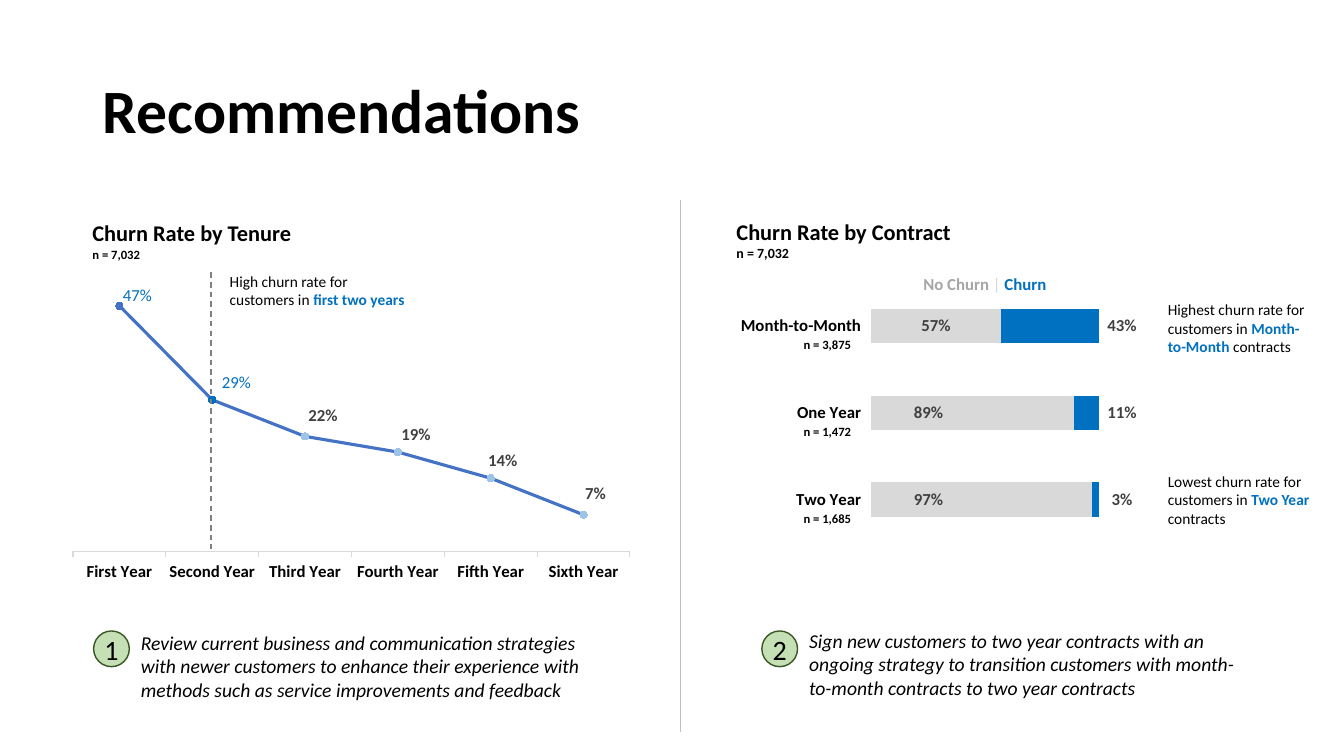
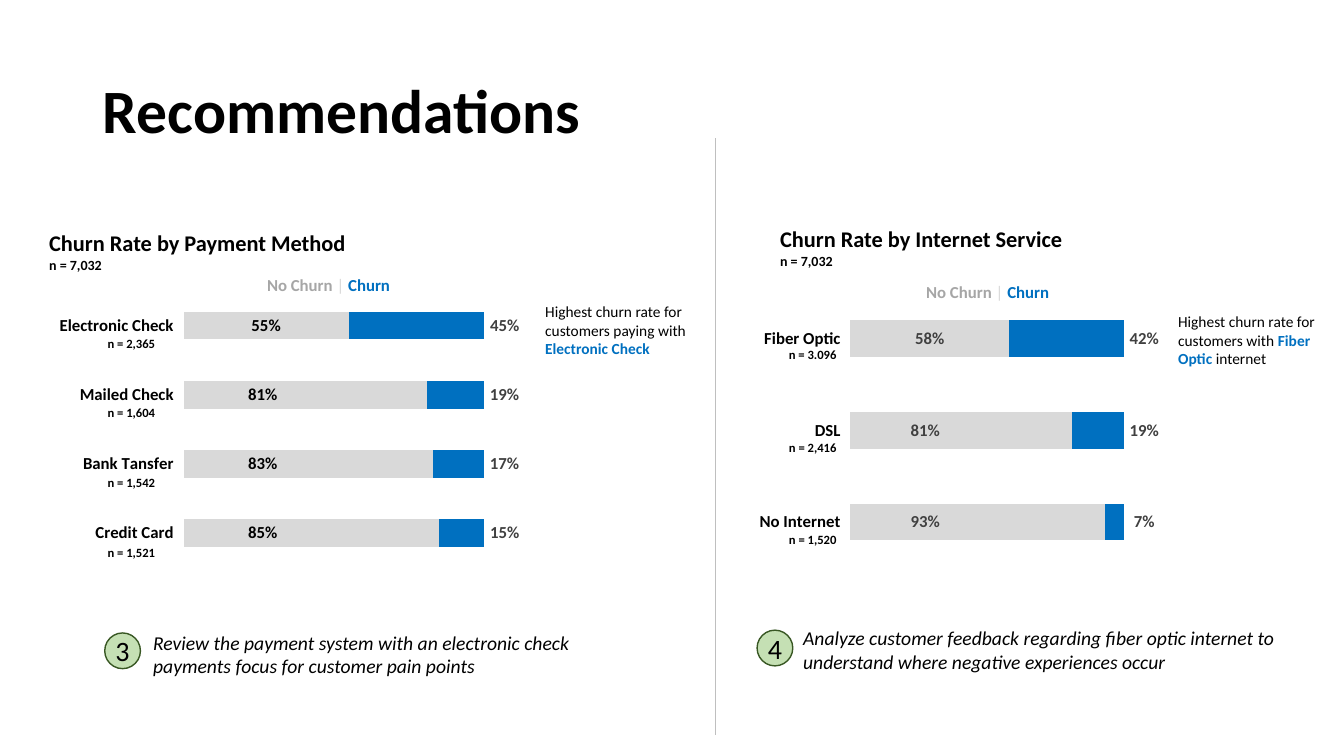
"""Build two recommendation slides on customer churn."""
import lxml.etree
import pptx
import pptx.chart.data
import pptx.dml.color
import pptx.enum.chart
import pptx.enum.dml
import pptx.enum.shapes
import pptx.enum.text
import pptx.oxml
import pptx.oxml.ns
import pptx.util

Cm = pptx.util.Cm
FONT = "Calibri"
BLACK, BLUE, PALE_BLUE, LINE_BLUE = "000000", "0070C0", "9DC3E6", "4472C4"
DARK_GREY, GREY, RULE_GREY, LIGHT_GREY = "404040", "A6A6A6", "BFBFBF", "D9D9D9"
GREEN, DARK_GREEN, DASH_GREY = "C5E0B4", "385723", "808080"

STYLES = {
    "title": {"size": 44, "bold": True},
    "heading": {"size": 16, "bold": True},
    "total": {"size": 10, "bold": True},
    "count": {"size": 9, "bold": True},
    "note": {"size": 11, "bold": False},
    "key": {"size": 11, "bold": True, "color": BLUE},
    "advice": {"size": 14, "italic": True},
    "badge": {"size": 20},
    "stay": {"size": 12, "bold": True, "color": GREY},
    "bar": {"size": 12, "bold": False, "color": LIGHT_GREY},
    "churn": {"size": 12, "bold": True, "color": BLUE},
    "axis": {"size": 12, "bold": True},
    "value": {"size": 12, "bold": True, "color": DARK_GREY},
    "dark_value": {"size": 12, "bold": True},
    "early_value": {"size": 12, "bold": False, "color": BLUE},
}
LEGEND = [("No Churn ", "stay"), ("| ", "bar"), ("Churn", "churn")]

TENURE = {
    "heading": ("Churn Rate by Tenure", (2.08, 5.41, 6.15, 1.37)),
    "total_style": "count",
    "chart": (1.4, 6.17, 15.16, 8.86),
    "plot": (0.029, 0.129, 0.926, 0.743),
    "years": [
        ("First Year", 0.47, LINE_BLUE, "early_value", (0.03, 0.02)),
        ("Second Year", 0.29, BLUE, "early_value", (0.04, 0)),
        ("Third Year", 0.22, PALE_BLUE, "value", (0.03, -0.01)),
        ("Fourth Year", 0.19, PALE_BLUE, "value", (0.03, 0)),
        ("Fifth Year", 0.14, PALE_BLUE, "value", (0.02, 0)),
        ("Sixth Year", 0.07, PALE_BLUE, "value", (0.02, -0.01)),
    ],
    "cutoff": (5.32, 6.86, 5.32, 13.84),
    "notes": [((5.54, 6.73, 4.98, 1.19),
               [("High churn rate for customers in ", "note"), ("first two years", "key")])],
    "badge": ("1", 2.36, 15.9),
    "advice": ("Review current business and communication strategies with newer customers to enhance "
               "their experience with methods such as service improvements and feedback",
               (3.3, 15.77, 12.32, 2.06)),
}
CONTRACT = {
    "heading": ("Churn Rate by Contract", (18.31, 5.36, 7.44, 1.37)),
    "chart": (17.7, 6.32, 11.81, 8.03),
    "plot": (0.36, 0.1, 0.486, 0.818),
    "bars": [("Month-to-Month", 0.57, 0.43, "n = 3,875"),
             ("One Year", 0.89, 0.11, "n = 1,472"),
             ("Two Year", 0.97, 0.03, "n = 1,685")],
    "label_x": (23.4, 28.28),
    "stay_style": "value",
    "counts": (20, 8.36, 2.2),
    "legend": (23.02, 6.78),
    "notes": [((29.18, 7.44, 4.24, 1.68),
               [("Highest churn rate for customers in ", "note"), ("Month-to-Month ", "key"),
                ("contracts", "note")]),
              ((29.18, 11.76, 4.24, 1.68),
               [("Lowest churn rate for customers in ", "note"), ("Two Year ", "key"),
                ("contracts", "note")])],
    "badge": ("2", 19.2, 15.9),
    "advice": ("Sign new customers to two year contracts with an ongoing strategy to transition "
               "customers with month-to-month contracts to two year contracts",
               (20.14, 15.72, 11.73, 2.06)),
}
PAYMENT = {
    "heading": ("Churn Rate by Payment Method", (0.99, 5.66, 9.32, 1.37)),
    "chart": (0.36, 6.96, 13.34, 7.72),
    "plot": (0.32, 0.048, 0.567, 0.904),
    "bars": [("Electronic Check", 0.55, 0.45, "n = 2,365"),
             ("Mailed Check", 0.81, 0.19, "n = 1,604"),
             ("Bank Tansfer", 0.83, 0.17, "n = 1,542"),
             ("Credit Card", 0.85, 0.15, "n = 1,521")],
    "label_x": (6.62, 12.72),
    "stay_style": "dark_value",
    "counts": (2.46, 8.33, 1.76),
    "legend": (6.48, 6.81),
    "notes": [((13.49, 7.49, 4.24, 1.68),
               [("Highest churn rate for customers paying with ", "note"),
                ("Electronic Check", "key")])],
    "badge": ("3", 2.64, 15.95),
    "advice": ("Review the payment system with an electronic check payments focus for customer "
               "pain points", (3.61, 15.77, 12.47, 1.45)),
}
INTERNET = {
    "heading": ("Churn Rate by Internet Service", (19.41, 5.56, 9.32, 1.37)),
    "chart": (18.64, 7.01, 10.95, 7.67),
    "plot": (0.255, 0.048, 0.629, 0.904),
    "bars": [("Fiber Optic", 0.58, 0.42, "n = 3.096"),
             ("DSL", 0.81, 0.19, "n = 2,416"),
             ("No Internet", 0.93, 0.07, "n = 1,520")],
    "label_x": (23.32, 28.84),
    "stay_style": "value",
    "counts": (19.63, 8.61, 2.34),
    "legend": (23.09, 6.98),
    "notes": [((29.44, 7.75, 4.24, 1.68),
               [("Highest churn rate for customers with ", "note"), ("Fiber Optic ", "key"),
                ("internet", "note")])],
    "badge": ("4", 19.08, 15.88),
    "advice": ("Analyze customer feedback regarding fiber optic internet to understand where "
               "negative experiences occur", (19.99, 15.65, 12.9, 1.45)),
}
SLIDES = [
    ("Recommendations", (17.14, 5.03, 17.14, 18.44), (TENURE, CONTRACT)),
    ("Recommendations", (18.03, 3.48, 18.03, 18.52), (PAYMENT, INTERNET)),
]


def rgb(value):
    return pptx.dml.color.RGBColor.from_string(value)


def assign(target, **values):
    for name, value in values.items():
        setattr(target, name, value)


def style_font(font, style):
    values = {"name": FONT, **STYLES[style]}
    color = values.pop("color", BLACK)
    values["size"] = pptx.util.Pt(values["size"])
    assign(font, **values)
    font.color.rgb = rgb(color)


def style_line(line, color, width):
    line.color.rgb = rgb(color)
    line.width = pptx.util.Pt(width)


def style_fill(fill, color):
    fill.solid()
    fill.fore_color.rgb = rgb(color)


def write(frame, paragraphs, align=pptx.enum.text.PP_ALIGN.LEFT):
    for index, runs in enumerate(paragraphs):
        paragraph = frame.add_paragraph() if index else frame.paragraphs[0]
        paragraph.alignment = align
        for text, style in runs:
            run = paragraph.add_run()
            run.text = text
            style_font(run.font, style)


def add_text(slide, box, paragraphs, align=pptx.enum.text.PP_ALIGN.LEFT):
    frame = slide.shapes.add_textbox(*map(Cm, box)).text_frame
    assign(frame, word_wrap=True, auto_size=pptx.enum.text.MSO_AUTO_SIZE.SHAPE_TO_FIT_TEXT)
    write(frame, paragraphs, align)


def add_rule(slide, ends, color, width, dash=None):
    rule = slide.shapes.add_connector(pptx.enum.shapes.MSO_CONNECTOR.STRAIGHT, *map(Cm, ends))
    style_line(rule.line, color, width)
    rule.line.dash_style = dash
    lxml.etree.SubElement(rule._element.spPr, pptx.oxml.ns.qn("a:effectLst"))


def layout_xml(**values):
    items = "".join(f'<c:{name} val="{value}"/>' for name, value in values.items())
    return pptx.oxml.parse_xml(
        f'<c:layout {pptx.oxml.ns.nsdecls("c")}><c:manualLayout>{items}</c:manualLayout></c:layout>')


def add_chart(slide, panel, kind, categories, series, maximum):
    data = pptx.chart.data.CategoryChartData(number_format="0%")
    data.categories = categories
    for name, values in series:
        data.add_series(name, values)
    chart = slide.shapes.add_chart(kind, *map(Cm, panel["chart"]), data).chart
    assign(chart, has_legend=False, has_title=False)
    assign(chart.font, name=FONT, size=pptx.util.Pt(10))
    assign(chart.value_axis, visible=False, has_major_gridlines=False,
           minimum_scale=0, maximum_scale=maximum)
    chart.plots[0].vary_by_categories = False
    chart.category_axis.major_tick_mark = pptx.enum.chart.XL_TICK_MARK.OUTSIDE
    style_font(chart.category_axis.tick_labels.font, "axis")
    area = chart._chartSpace.xpath("c:chart/c:plotArea")[0]
    for old in area.xpath("c:layout"):
        area.remove(old)
    x, y, w, h = panel["plot"]
    area.insert(0, layout_xml(layoutTarget="inner", xMode="edge", yMode="edge", x=x, y=y, w=w, h=h))
    return chart


def label_series(series, style, position):
    labels = series.data_labels
    assign(labels, show_value=True, number_format="0%", number_format_is_linked=False,
           position=position)
    style_font(labels.font, style)
    for leader in series._element.xpath("c:dLbls/c:showLeaderLines"):
        leader.set("val", "0")


def move_label(series, index, style, position, x, y=0):
    label = series.points[index].data_label
    style_font(label.font, style)
    label.position = position
    element = series._element.xpath(f"c:dLbls/c:dLbl[c:idx/@val={index}]")[0]
    element.insert(1, layout_xml(x=round(x, 4), y=y))


def add_line_chart(slide, panel):
    names, rates, colors, styles, shifts = zip(*panel["years"])
    chart = add_chart(slide, panel, pptx.enum.chart.XL_CHART_TYPE.LINE_MARKERS_STACKED,
                      names, [("Series 1", rates)], 0.5)
    style_line(chart.category_axis.format.line, LIGHT_GREY, 0.75)
    rate = chart.plots[0].series[0]
    rate.smooth = False
    above = pptx.enum.chart.XL_LABEL_POSITION.ABOVE
    label_series(rate, "value", above)
    dots = [(rate, LINE_BLUE)]
    for index, (color, style, shift) in enumerate(zip(colors, styles, shifts)):
        dots.append((rate.points[index], color))
        move_label(rate, index, style, above, *shift)
    for dot, color in dots:
        style_line(dot.format.line, color, 2.25)
        assign(dot.marker, style=pptx.enum.chart.XL_MARKER_STYLE.CIRCLE, size=5)
        style_fill(dot.marker.format.fill, color)
        style_line(dot.marker.format.line, color, 0.75)
    add_rule(slide, panel["cutoff"], DASH_GREY, 1, pptx.enum.dml.MSO_LINE.DASH)


def add_bar_chart(slide, panel):
    names, stays, churns, counts = zip(*panel["bars"])
    chart = add_chart(slide, panel, pptx.enum.chart.XL_CHART_TYPE.BAR_STACKED_100, names[::-1],
                      [("Series 1", stays[::-1]), ("Series 2", churns[::-1])], 1)
    assign(chart.plots[0], gap_width=150, overlap=100)
    chart.category_axis.format.line.fill.background()
    left, _, width, _ = panel["chart"]
    plot_left, _, plot_width, _ = panel["plot"]
    center = pptx.enum.chart.XL_LABEL_POSITION.CENTER
    stay, churn = chart.plots[0].series
    for series, color, style in ((stay, LIGHT_GREY, panel["stay_style"]), (churn, BLUE, "value")):
        series.invert_if_negative = False
        style_fill(series.format.fill, color)
        label_series(series, style, center)
    stay_x, churn_x = ((x - left) / width - plot_left for x in panel["label_x"])
    for index, share in enumerate(stays[::-1]):
        if index < len(stays) - 1:
            move_label(stay, index, panel["stay_style"], center, stay_x - plot_width * share / 2)
        move_label(churn, index, "value", center, churn_x - plot_width * (1 + share) / 2)
    x, top, step = panel["counts"]
    for row, count in enumerate(counts):
        add_text(slide, (x, top + row * step, 1.7, 0.64), [[(count, "count")]],
                 pptx.enum.text.PP_ALIGN.RIGHT)
    add_text(slide, (*panel["legend"], 3.85, 0.76), [LEGEND])


def add_badge(slide, number, x, y):
    badge = slide.shapes.add_shape(pptx.enum.shapes.MSO_SHAPE.OVAL, *map(Cm, (x, y, 0.9, 0.9)))
    badge.shadow.inherit = False
    style_fill(badge.fill, GREEN)
    style_line(badge.line, DARK_GREEN, 1)
    assign(badge.text_frame, margin_left=0, margin_top=0, margin_right=0, margin_bottom=0,
           vertical_anchor=pptx.enum.text.MSO_ANCHOR.MIDDLE)
    write(badge.text_frame, [[(number, "badge")]], pptx.enum.text.PP_ALIGN.CENTER)


def add_panel(slide, panel):
    draw = add_line_chart if "years" in panel else add_bar_chart
    draw(slide, panel)
    heading, box = panel["heading"]
    add_text(slide, box, [[(heading, "heading")],
                          [("n = 7,032", panel.get("total_style", "total"))]])
    for box, runs in panel["notes"]:
        add_text(slide, box, [runs])
    add_badge(slide, *panel["badge"])
    advice, box = panel["advice"]
    add_text(slide, box, [[(advice, "advice")]])


def add_title(slide, text):
    title = slide.shapes.title
    assign(title, left=Cm(2.34), top=Cm(1.02), width=Cm(29.21), height=Cm(3.68))
    title.text_frame.vertical_anchor = pptx.enum.text.MSO_ANCHOR.MIDDLE
    write(title.text_frame, [[(text, "title")]])
    title.text_frame.paragraphs[0].line_spacing = 0.9


def main():
    deck = pptx.Presentation()
    assign(deck, slide_width=Cm(33.87), slide_height=Cm(19.05))
    for title, divider, panels in SLIDES:
        slide = deck.slides.add_slide(deck.slide_layouts.get_by_name("Title Only"))
        add_title(slide, title)
        for panel in panels:
            add_panel(slide, panel)
        add_rule(slide, divider, RULE_GREY, 0.75)
    deck.save("out.pptx")


if __name__ == "__main__":
    main()
